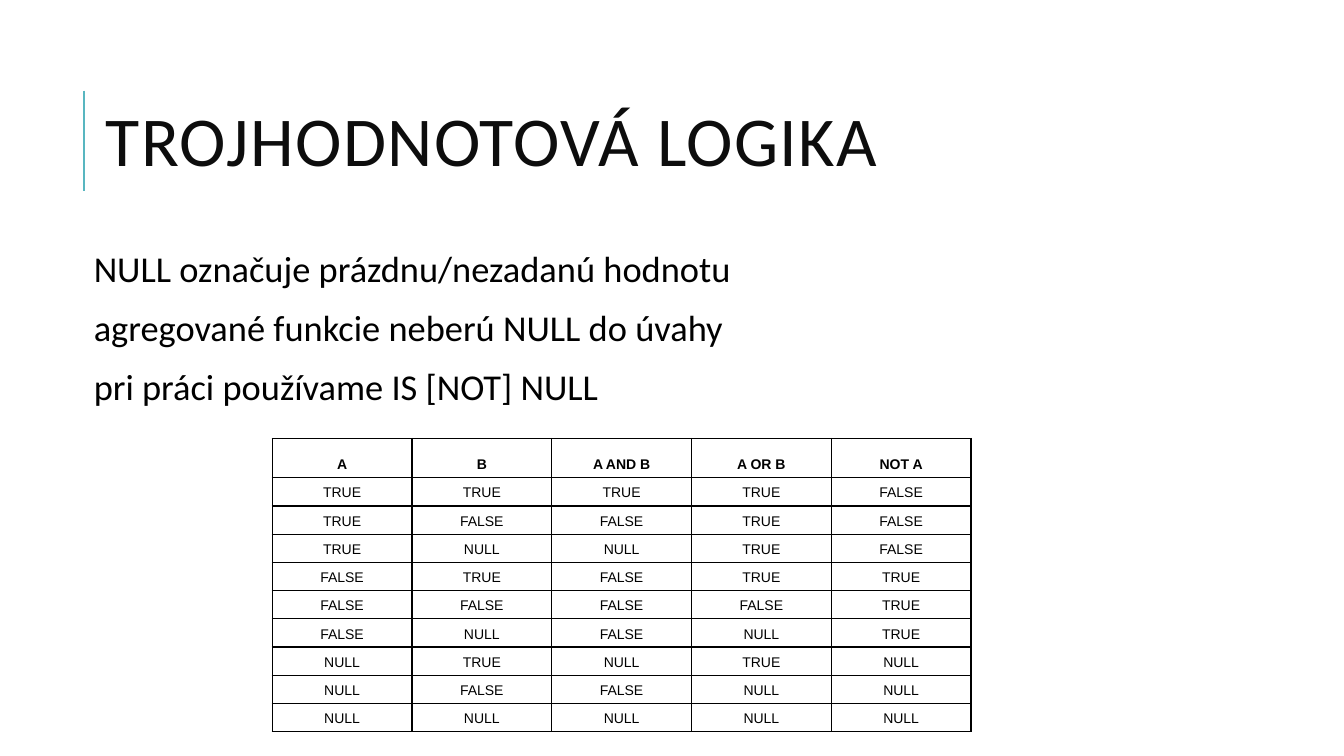
from dataclasses import dataclass
from itertools import product

from lxml import etree
from pptx import Presentation
from pptx.dml.color import RGBColor
from pptx.enum.shapes import MSO_CONNECTOR
from pptx.enum.text import MSO_ANCHOR, MSO_AUTO_SIZE, PP_ALIGN
from pptx.oxml.ns import qn
from pptx.util import Inches, Pt

STRAIGHT = MSO_CONNECTOR.STRAIGHT
MIDDLE, TOP, BOTTOM = MSO_ANCHOR.MIDDLE, MSO_ANCHOR.TOP, MSO_ANCHOR.BOTTOM
LEFT, CENTER = PP_ALIGN.LEFT, PP_ALIGN.CENTER
NO_AUTOFIT = MSO_AUTO_SIZE.NONE

BLACK = RGBColor(0x00, 0x00, 0x00)
TITLE_INK = RGBColor(0x0D, 0x0D, 0x0D)
TEAL = RGBColor(0x58, 0xB6, 0xC0)

SLIDE_WIDTH, SLIDE_HEIGHT = Inches(13.33), Inches(7.5)


@dataclass(frozen=True)
class Area:
    """Place on the slide, in percent of its width and height."""
    left: float
    top: float
    width: float
    height: float

    def box(self) -> tuple[int, int, int, int]:
        return (across(self.left), down(self.top),
                across(self.width), down(self.height))


@dataclass(frozen=True)
class TextStyle:
    font: str
    size: float
    color: RGBColor
    bold: bool = False
    spacing: float = 0


TITLE_STYLE = TextStyle("Calibri", 50, TITLE_INK, spacing=1)
FACT_STYLE = TextStyle("Calibri", 26, BLACK)
HEADING_STYLE = TextStyle("Arial", 10, BLACK, bold=True)
VALUE_STYLE = TextStyle("Arial", 10, BLACK)

ACCENT_AREA = Area(6.23, 12, 0, 13.33)
TITLE_AREA = Area(5.85, 9.87, 82.5, 18.93)
FACTS_AREA = Area(5.85, 32.53, 61.5, 64.27)
TRUTH_AREA = Area(20.25, 58, 52, 38.8)
HEADING_HEIGHT = 5.2

FACTS = [
    "NULL označuje prázdnu/nezadanú hodnotu",
    "agregované funkcie neberú NULL do úvahy",
    "pri práci používame IS [NOT] NULL",
]
HEADINGS = ["A", "B", "A AND B", "A OR B", "NOT A"]

# Three-valued logic: AND is the minimum, OR the maximum, NOT the opposite sign
TRUTH_NAMES = {1: "TRUE", -1: "FALSE", 0: "NULL"}


def truth_rows() -> list[list[str]]:
    return [[TRUTH_NAMES[value] for value in (a, b, min(a, b), max(a, b), -a)]
            for a, b in product(TRUTH_NAMES, repeat=2)]


def across(percent: float) -> int:
    return round(SLIDE_WIDTH * percent / 100)


def down(percent: float) -> int:
    return round(SLIDE_HEIGHT * percent / 100)


def add_text(paragraph, text: str, style: TextStyle) -> None:
    run = paragraph.add_run()
    run.text = text
    run.font.name = style.font
    run.font.size = Pt(style.size)
    run.font.bold = style.bold
    run.font.color.rgb = style.color
    if style.spacing:
        run.font._element.set("spc", str(round(style.spacing * 100)))


def add_blank_bullet(paragraph) -> None:
    properties = paragraph._p.get_or_add_pPr()
    properties.set("marL", str(Inches(0.1)))
    properties.set("indent", str(-Inches(0.1)))
    bullet_color = etree.SubElement(properties, qn("a:buClr"))
    etree.SubElement(bullet_color, qn("a:srgbClr"), val=str(TEAL))
    etree.SubElement(properties, qn("a:buChar"), char=" ")


def add_borders(cell, color: RGBColor, width: float) -> None:
    properties = cell._tc.get_or_add_tcPr()
    for side in ("lnL", "lnR", "lnT", "lnB"):
        border = etree.SubElement(properties, qn(f"a:{side}"), w=str(Pt(width)))
        fill = etree.SubElement(border, qn("a:solidFill"))
        etree.SubElement(fill, qn("a:srgbClr"), val=str(color))


def place(placeholder, area: Area, anchor: MSO_ANCHOR):
    placeholder.left, placeholder.top, placeholder.width, placeholder.height = area.box()
    frame = placeholder.text_frame
    frame.word_wrap = True
    frame.auto_size = NO_AUTOFIT
    frame.vertical_anchor = anchor
    return frame


def draw_accent(slide) -> None:
    left, top, width, height = ACCENT_AREA.box()
    accent = slide.shapes.add_connector(STRAIGHT, left, top, left + width, top + height)
    accent.line.color.rgb = TEAL
    accent.line.width = Pt(1.5)
    etree.SubElement(accent._element.spPr, qn("a:effectLst"))


def draw_title(slide) -> None:
    frame = place(slide.shapes.title, TITLE_AREA, MIDDLE)
    frame.margin_left = Inches(0.27)
    heading = frame.paragraphs[0]
    heading.alignment = LEFT
    heading.line_spacing = 0.8
    add_text(heading, "TROJHODNOTOVÁ LOGIKA", TITLE_STYLE)


def draw_facts(slide) -> None:
    frame = place(slide.placeholders[1], FACTS_AREA, TOP)
    frame.margin_left = frame.margin_right = Inches(0.05)
    frame.margin_top = frame.margin_bottom = Inches(0.05)
    for number, fact in enumerate(FACTS):
        paragraph = frame.add_paragraph() if number else frame.paragraphs[0]
        add_blank_bullet(paragraph)
        paragraph.line_spacing = 0.9
        paragraph.space_before = Pt(12 if number else 0)
        paragraph.space_after = Pt(2)
        add_text(paragraph, fact, FACT_STYLE)


def draw_truth_table(slide) -> None:
    rows = [HEADINGS, *truth_rows()]
    table = slide.shapes.add_table(len(rows), len(HEADINGS), *TRUTH_AREA.box()).table
    table.first_row = table.horz_banding = False
    for column in table.columns:
        column.width = across(TRUTH_AREA.width / len(HEADINGS))
    value_height = (TRUTH_AREA.height - HEADING_HEIGHT) / (len(rows) - 1)
    for row_number, values in enumerate(rows):
        table.rows[row_number].height = down(value_height if row_number else HEADING_HEIGHT)
        for column_number, value in enumerate(values):
            cell = table.cell(row_number, column_number)
            add_borders(cell, BLACK, 1)
            cell.fill.background()
            cell.vertical_anchor = BOTTOM
            paragraph = cell.text_frame.paragraphs[0]
            paragraph.alignment = CENTER
            add_text(paragraph, value, VALUE_STYLE if row_number else HEADING_STYLE)


def main() -> None:
    presentation = Presentation()
    presentation.slide_width, presentation.slide_height = SLIDE_WIDTH, SLIDE_HEIGHT
    slide = presentation.slides.add_slide(presentation.slide_layouts[1])
    draw_accent(slide)
    draw_title(slide)
    draw_facts(slide)
    draw_truth_table(slide)
    presentation.save("out.pptx")


if __name__ == "__main__":
    main()
